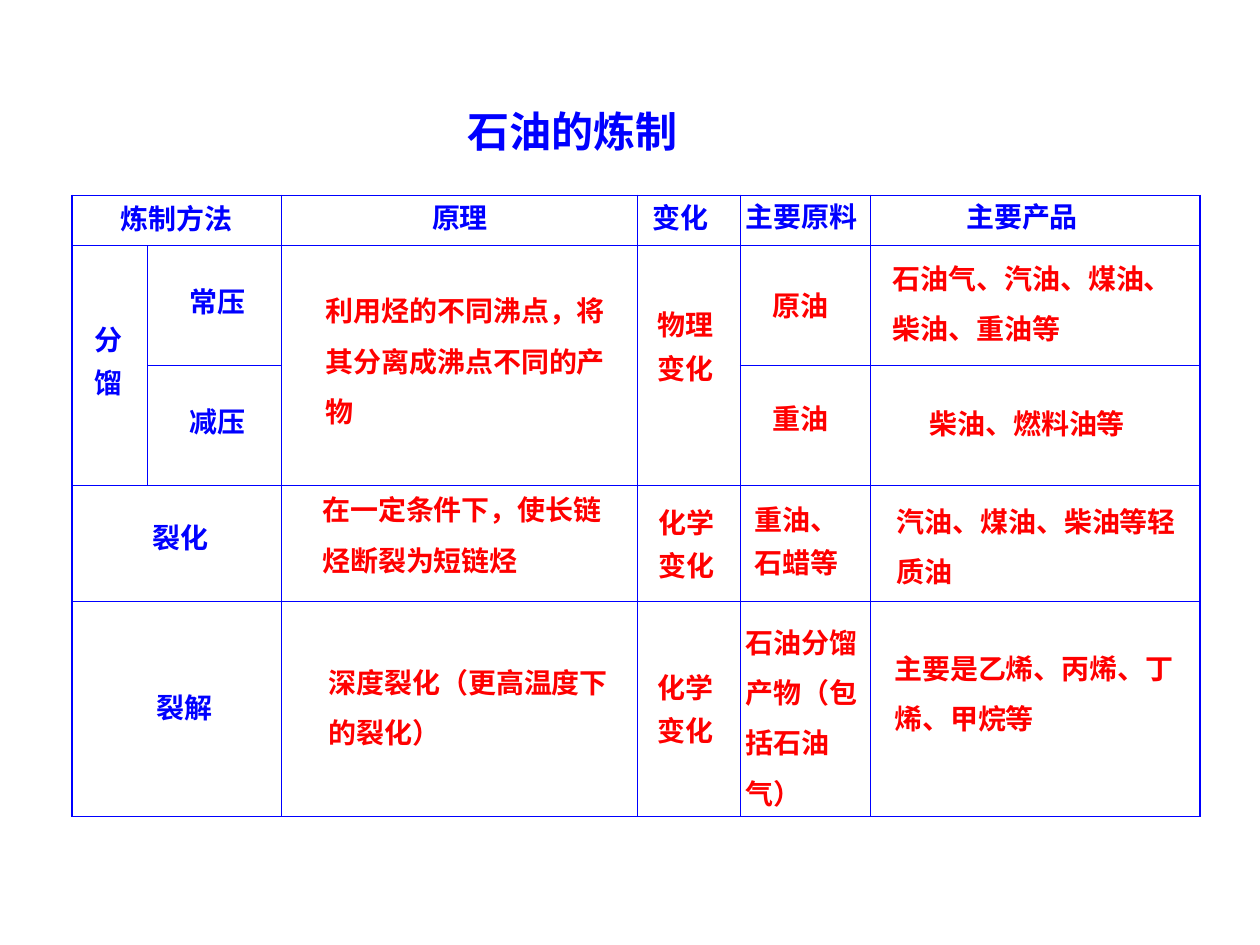
from pptx import Presentation
from pptx.dml.color import RGBColor
from pptx.enum.text import MSO_AUTO_SIZE as AutoSize
from pptx.oxml.ns import qn
from pptx.util import Cm, Pt
from lxml.etree import SubElement

BLUE = RGBColor(0x00, 0x00, 0xFF)
RED = RGBColor(0xFF, 0x00, 0x00)
FONT = "Noto Sans CJK SC"
THIN, THICK = Pt(0.45), Pt(1.08)


def add_text(page, left, top, width, lines, color, spacing, size=16):
    height = 0.25 + 0.68 * len(lines) * spacing * size / 16
    box = page.shapes.add_textbox(Cm(left), Cm(top), Cm(width), Cm(height))
    frame = box.text_frame
    frame.word_wrap = True
    frame.auto_size = AutoSize.SHAPE_TO_FIT_TEXT
    frame.text = "\n".join(lines)
    for para in frame.paragraphs:
        para.line_spacing = spacing
        font = para.font
        font.size = Pt(size)
        font.bold = True
        font.color.rgb = color
        font.name = FONT
        east_asian = SubElement(para._p.pPr.find(qn("a:defRPr")), qn("a:ea"))
        east_asian.set("typeface", FONT)


def add_border(cell, side, width):
    line = SubElement(cell._tc.get_or_add_tcPr(), qn(f"a:ln{side}"), w=str(width))
    fill = SubElement(line, qn("a:solidFill"))
    SubElement(fill, qn("a:srgbClr"), val=str(BLUE))


deck = Presentation()
deck.slide_width, deck.slide_height = Cm(25.4), Cm(19.05)
page = deck.slides.add_slide(deck.slide_layouts[6])

add_text(page, 9.17, 2.01, 5.05, ["石油的炼制"], BLUE, 1.0, 24)

column_widths = [1.53, 2.7, 7.16, 2.08, 2.62, 6.65]
row_heights = [1.01, 2.42, 2.42, 2.34, 4.33]
last_row, last_column = len(row_heights) - 1, len(column_widths) - 1
table = page.shapes.add_table(
    len(row_heights), len(column_widths), Cm(1.45), Cm(3.94),
    Cm(sum(column_widths)), Cm(sum(row_heights))).table
table.first_row = False
table.horz_banding = False
for column, width in zip(table.columns, column_widths):
    column.width = Cm(width)
for row, height in zip(table.rows, row_heights):
    row.height = Cm(height)

for r in range(last_row + 1):
    for c in range(last_column + 1):
        cell = table.cell(r, c)
        cell.margin_top = cell.margin_bottom = 0
        add_border(cell, "L", THICK if c == 0 else THIN)
        add_border(cell, "R", THICK if c == last_column else THIN)
        add_border(cell, "T", THICK if r == 0 else THIN)
        add_border(cell, "B", THICK if r == last_row else THIN)
        cell.fill.background()

for r in (0, 3, 4):
    table.cell(r, 0).merge(table.cell(r, 1))
for c in (0, 2, 3):
    table.cell(1, c).merge(table.cell(2, c))

headers = [
    (2.18, 3.94, 4.93, "炼制方法"),
    (8.46, 3.91, 4.93, "原理"),
    (12.9, 3.91, 4.65, "变化"),
    (14.78, 3.89, 5.13, "主要原料"),
    (19.23, 3.89, 5.13, "主要产品"),
]
for left, top, width, text in headers:
    add_text(page, left, top, width, [text], BLUE, 1.0)

methods = [
    (1.65, 6.17, 2.29, ["分", "馏"]),
    (3.58, 5.41, 4.57, ["常压"]),
    (3.58, 7.82, 4.57, ["减压"]),
    (2.82, 10.16, 4.57, ["裂化"]),
    (2.9, 13.59, 4.57, ["裂解"]),
]
for left, top, width, lines in methods:
    add_text(page, left, top, width, lines, BLUE, 1.3)

details = [
    (6.32, 5.46, 7.62, 1.5, ["利用烃的不同沸点，将", "其分离成沸点不同的产", "物"]),
    (13.0, 5.87, 2.84, 1.3, ["物理", "变化"]),
    (15.32, 5.49, 2.84, 1.3, ["原油"]),
    (17.75, 4.8, 6.88, 1.5, ["石油气、汽油、煤油、", "柴油、重油等"]),
    (15.32, 7.77, 2.84, 1.3, ["重油"]),
    (18.49, 8.08, 6.22, 1.0, ["柴油、燃料油等"]),
    (6.25, 9.47, 8.31, 1.5, ["在一定条件下，使长链", "烃断裂为短链烃"]),
    (13.03, 9.86, 2.84, 1.3, ["化学", "变化"]),
    (14.96, 9.8, 2.84, 1.3, ["重油、", "石蜡等"]),
    (17.83, 9.7, 6.35, 1.5, ["汽油、煤油、柴油等轻", "质油"]),
    (6.38, 12.95, 6.25, 1.5, ["深度裂化（更高温度下", "的裂化）"]),
    (13.0, 13.18, 2.84, 1.3, ["化学", "变化"]),
    (14.78, 12.14, 3.63, 1.5, ["石油分馏", "产物（包", "括石油", "气）"]),
    (17.78, 12.67, 7.01, 1.5, ["主要是乙烯、丙烯、丁", "烯、甲烷等"]),
]
for left, top, width, spacing, lines in details:
    add_text(page, left, top, width, lines, RED, spacing)

deck.save("out.pptx")
